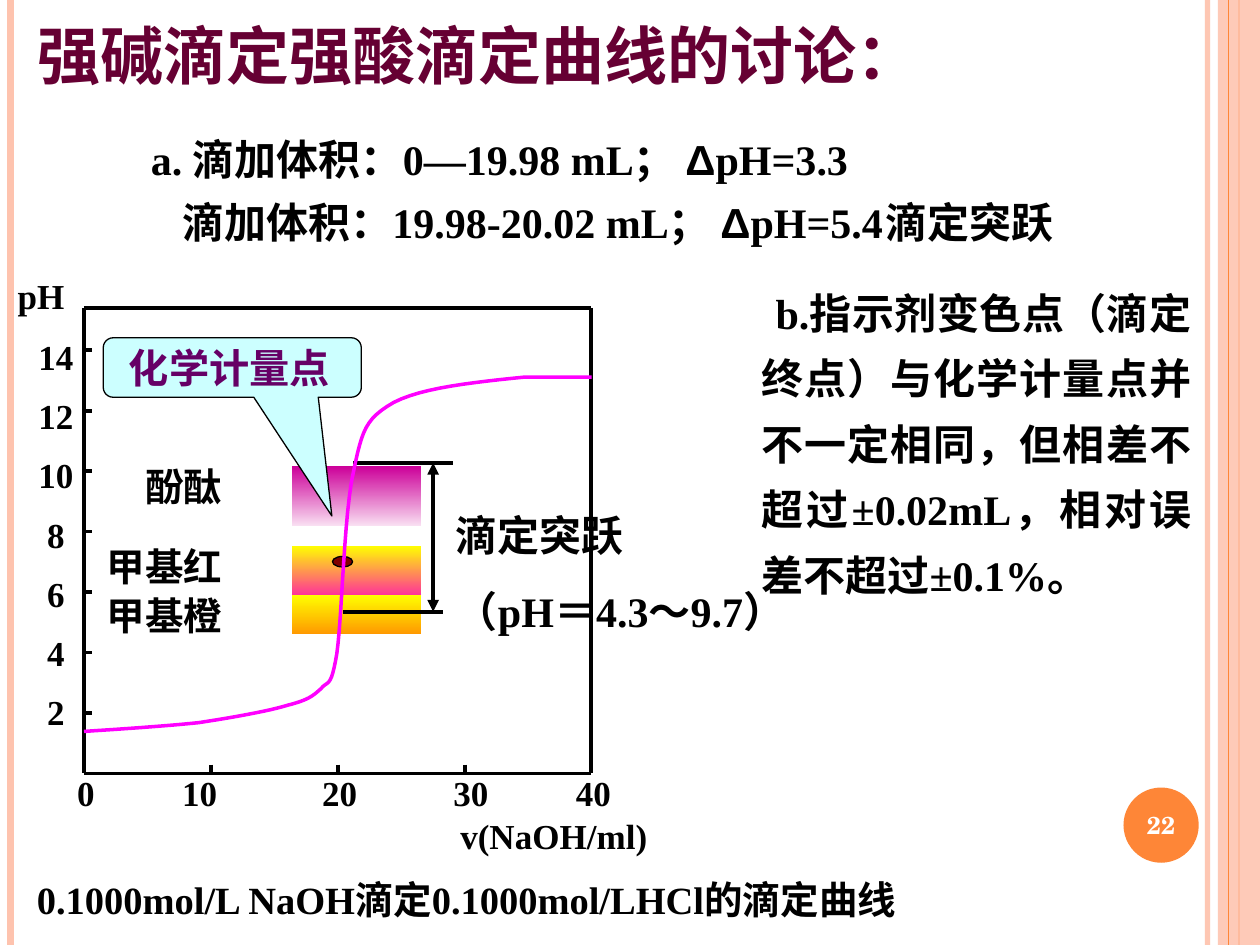
import pptx
import pptx.util
import pptx.dml.color
import pptx.enum.shapes
import pptx.enum.text
import pptx.oxml
import pptx.oxml.ns

Pt = pptx.util.Pt
qn = pptx.oxml.ns.qn
SHAPE = pptx.enum.shapes.MSO_SHAPE
ALIGN = pptx.enum.text.PP_ALIGN
ANCHOR = pptx.enum.text.MSO_ANCHOR
TIMES = "Times New Roman"
SCHOLA = "TeX Gyre Schola"


def rgb(color):
    return pptx.dml.color.RGBColor.from_string(color)


def add_xml(parent, tag, **attrs):
    el = parent.makeelement(qn(tag), attrs)
    parent.append(el)
    return el


def set_alpha(shape, percent):
    for el in shape.element.iter(qn("a:srgbClr")):
        add_xml(el, "a:alpha", val=str(percent * 1000))


def line(s, x1, y1, x2, y2, color="000000", width=2.25, arrows=False):
    c = s.shapes.add_connector(pptx.enum.shapes.MSO_CONNECTOR.STRAIGHT,
                               Pt(x1), Pt(y1), Pt(x2), Pt(y2))
    c.line.color.rgb = rgb(color)
    c.line.width = Pt(width)
    if arrows:
        ln = c.element.spPr.find(qn("a:ln"))
        add_xml(ln, "a:headEnd", type="triangle")
        add_xml(ln, "a:tailEnd", type="triangle")
    add_xml(c.element.spPr, "a:effectLst")
    return c


def shape(s, kind, x, y, w, h, fill, outline=None):
    sp = s.shapes.add_shape(kind, Pt(x), Pt(y), Pt(w), Pt(h))
    sp.shadow.inherit = False
    if isinstance(fill, tuple):
        sp.fill.gradient()
        sp.fill.gradient_angle = 270
        for stop, position, color in zip(sp.fill.gradient_stops, (0, 1), fill):
            stop.position = position
            stop.color.rgb = rgb(color)
    else:
        sp.fill.solid()
        sp.fill.fore_color.rgb = rgb(fill)
    if outline:
        sp.line.color.rgb = rgb(outline)
        sp.line.width = Pt(0.75)
    else:
        sp.line.fill.background()
    return sp


def add_run(p, text, size, font=TIMES, color="000000"):
    r = p.add_run()
    r.text = text
    r.font.size = Pt(size)
    r.font.name = font
    r.font.bold = True
    r.font.color.rgb = rgb(color)


def set_tabs(p, align, positions):
    tabs = add_xml(p._p.get_or_add_pPr(), "a:tabLst")
    for x in positions:
        add_xml(tabs, "a:tab", pos=str(Pt(x)), algn=align)


def textbox(s, x, y, w, h, lines, size, align=ALIGN.LEFT, font=TIMES, before=0):
    tf = s.shapes.add_textbox(Pt(x), Pt(y), Pt(w), Pt(h)).text_frame
    tf.word_wrap = True
    for i, text in enumerate(lines):
        p = tf.add_paragraph() if i else tf.paragraphs[0]
        p.alignment = align
        if i:
            p.space_before = Pt(before)
        add_run(p, text, size, font)
    return tf


def place(sp, x, y, w, h):
    sp.left, sp.top, sp.width, sp.height = Pt(x), Pt(y), Pt(w), Pt(h)
    sp.text_frame.word_wrap = True
    sp.text_frame.auto_size = pptx.enum.text.MSO_AUTO_SIZE.NONE
    return sp.text_frame


def body_paragraph(p, indent, spacing, align=ALIGN.LEFT):
    pPr = p._p.get_or_add_pPr()
    pPr.set("marL", "0")
    pPr.set("indent", str(Pt(indent)))
    p.alignment = align
    p.line_spacing = spacing
    p.space_before = Pt(0)
    add_xml(pPr, "a:buNone")


def side_stripes(s, w, h):
    set_alpha(line(s, 690, 0, 690, h, "FEC3AE", 3), 93)
    line(s, 6, 0, 6, h, "FEC3AE", 4.5)
    line(s, 708, 0, 708, h, "FE8637", 1.5)
    set_alpha(shape(s, SHAPE.RECTANGLE, 696, 0, w - 696, h, "FEC3AE"), 87)
    line(s, 702, 0, 702, h, "FE8637", 0.75)


def page_number(s, x, y, size, number):
    tf = shape(s, SHAPE.OVAL, x, y, size, size, "FE8637").text_frame
    tf.margin_left = tf.margin_right = 0
    tf.vertical_anchor = ANCHOR.MIDDLE
    tf.paragraphs[0].alignment = ALIGN.CENTER
    add_run(tf.paragraphs[0], number, 14, SCHOLA, "FFFFFF")


def title(sp, x, y, w, h):
    tf = place(sp, x, y, w, h)
    tf.vertical_anchor = ANCHOR.MIDDLE
    tf.paragraphs[0].alignment = ALIGN.LEFT
    add_run(tf.paragraphs[0], "强碱滴定强酸滴定曲线的讨论：", 36, "Noto Sans CJK JP", "660033")


def volume_ranges(sp, x, y, w, h):
    tf = place(sp, x, y, w, h)
    rows = ((48, "a. 滴加体积：0—19.98 mL； ", "pH=3.3"),
            (66, "滴加体积：19.98-20.02 mL； ", "pH=5.4\t滴定突跃"))
    for i, (indent, volume, change) in enumerate(rows):
        p = tf.add_paragraph() if i else tf.paragraphs[0]
        body_paragraph(p, indent, 1.25)
        if "\t" in change:
            set_tabs(p, "l", [513])
        add_run(p, volume, 24)
        add_run(p, "Δ", 24, "Arial")
        add_run(p, change, 24)


def indicator_note(sp, x, y, w, h):
    p = place(sp, x, y, w, h).paragraphs[0]
    body_paragraph(p, 8, 1.3, ALIGN.JUSTIFY)
    add_run(p, "b.指示剂变色点（滴定终点）与化学计量点并不一定相同，"
               "但相差不超过±0.02mL，相对误差不超过±0.1%。", 24)


def indicators(s, x, y):
    bands = (("酚酞", 85, 90.5, 34, ("CC0099", "F9DFF2")),
             ("甲基红", 130.5, 136, 28, ("FFFF00", "FF3399")),
             ("甲基橙", 159, 164, 22.5, ("FFFF00", "FF9900")))
    for name, label_y, band_y, band_h, colors in bands:
        shape(s, SHAPE.RECTANGLE, x + 119, y + band_y, 73.5, band_h, colors)
        textbox(s, x, y + label_y, 86, 34, [name], 22, ALIGN.RIGHT, SCHOLA)


def jump(s, x, y):
    top, bottom = y + 88.5, y + 173.5
    line(s, x + 154, top, x + 211, top)
    line(s, x + 148, bottom, x + 205, bottom)
    line(s, x + 199.5, top, x + 199.5, bottom, arrows=True)
    textbox(s, x + 205.5, y + 111.5, 213, 109, ["滴定突跃", "（pH＝4.3～9.7）"], 24, before=15)


def equivalence_point(s, x, y):
    shape(s, SHAPE.OVAL, x + 142, y + 142, 11.5, 6, "800000", "000000")
    sp = shape(s, SHAPE.ROUNDED_RECTANGULAR_CALLOUT, x + 11, y + 17, 147.5, 34, "CCFFFF", "000000")
    for i, value in enumerate((0.386, 2.496, 0.167)):
        sp.adjustments[i] = value
    tf = sp.text_frame
    tf.margin_left, tf.margin_right = Pt(13), 0
    tf.vertical_anchor = ANCHOR.MIDDLE
    tf.paragraphs[0].alignment = ALIGN.LEFT
    add_run(tf.paragraphs[0], "化学计量点", 23, TIMES, "660066")


def axes(s, x, y, w, h):
    for x1, y1, x2, y2 in ((0, 0, w, 0), (w, 0, w, h), (0, h, w, h), (0, 0, 0, h)):
        line(s, x + x1, y + y1, x + x2, y + y2)
    textbox(s, x - 45, y - 22.5, 46, 32, ["pH"], 20)
    for i in range(1, 8):
        tick_y = y + h - 34.56 * i
        line(s, x, tick_y, x + 4.5, tick_y)
        textbox(s, x - 36, y + 249 - 33.84 * i, 40, 32, [str(2 * i)], 20, ALIGN.CENTER)
    for i in range(1, 5):
        tick_x = x + w * i / 4
        line(s, tick_x, y + h - 5, tick_x, y + h)
    tf = textbox(s, x - 11, y + 272, 340, 44, ["0\t10\t20\t30\t40", "v(NaOH/ml)"], 20, before=12.5)
    for p in tf.paragraphs:
        p.line_spacing = 0.5
    set_tabs(tf.paragraphs[0], "ctr", (70, 150, 225, 295))
    tf.paragraphs[1].alignment = ALIGN.RIGHT


def titration_curve(s, x, y, w):
    start = (0, 242)
    beziers = (((23, 240.5), (46, 239), (65.5, 237)),
               ((85, 234), (105, 230.5), (116.5, 227)),
               ((128, 224), (130.5, 222), (135.5, 217.5)),
               ((139.5, 212.5), (141, 218), (144.5, 197.5)),
               ((147.5, 177), (148.5, 117.5), (154, 93.5)),
               ((159, 70), (160.5, 63.5), (177, 54)),
               ((193.5, 45.5), (222.5, 42.5), (252, 39.5)))
    points, p0 = [], start
    for p1, p2, p3 in beziers:
        for t in (k / 12 for k in range(1, 13)):
            u = 1 - t
            points.append(tuple(u**3 * a + 3 * u * u * t * b + 3 * u * t * t * c + t**3 * d
                                for a, b, c, d in zip(p0, p1, p2, p3)))
        p0 = p3
    points.append((w, p0[1]))
    fb = s.shapes.build_freeform(Pt(x + start[0]), Pt(y + start[1]))
    fb.add_line_segments([(Pt(x + px), Pt(y + py)) for px, py in points], close=False)
    sp = fb.convert_to_shape()
    sp.shadow.inherit = False
    sp.fill.background()
    sp.line.color.rgb = rgb("FF00FF")
    sp.line.width = Pt(2)


def titration_chart(s, x, y, w, h):
    indicators(s, x, y)
    jump(s, x, y)
    equivalence_point(s, x, y)
    axes(s, x, y, w, h)
    titration_curve(s, x, y, w)
    textbox(s, x - 34, y + 321, 544, 34, ["0.1000mol/L NaOH滴定0.1000mol/LHCl的滴定曲线"], 22)


def main():
    prs = pptx.Presentation()
    prs.slide_width, prs.slide_height = Pt(720), Pt(540)
    s = prs.slides.add_slide(prs.slide_layouts[3])
    title(s.shapes.title, 14, 4, 578, 54)
    volume_ranges(s.placeholders[1], 31, 65.5, 647, 115)
    indicator_note(s.placeholders[2], 428, 152, 260, 240)
    side_stripes(s, 720, 540)
    page_number(s, 642, 450, 43, "22")
    titration_chart(s, 48, 176, 290, 266)
    prs.save("out.pptx")


if __name__ == "__main__":
    main()
